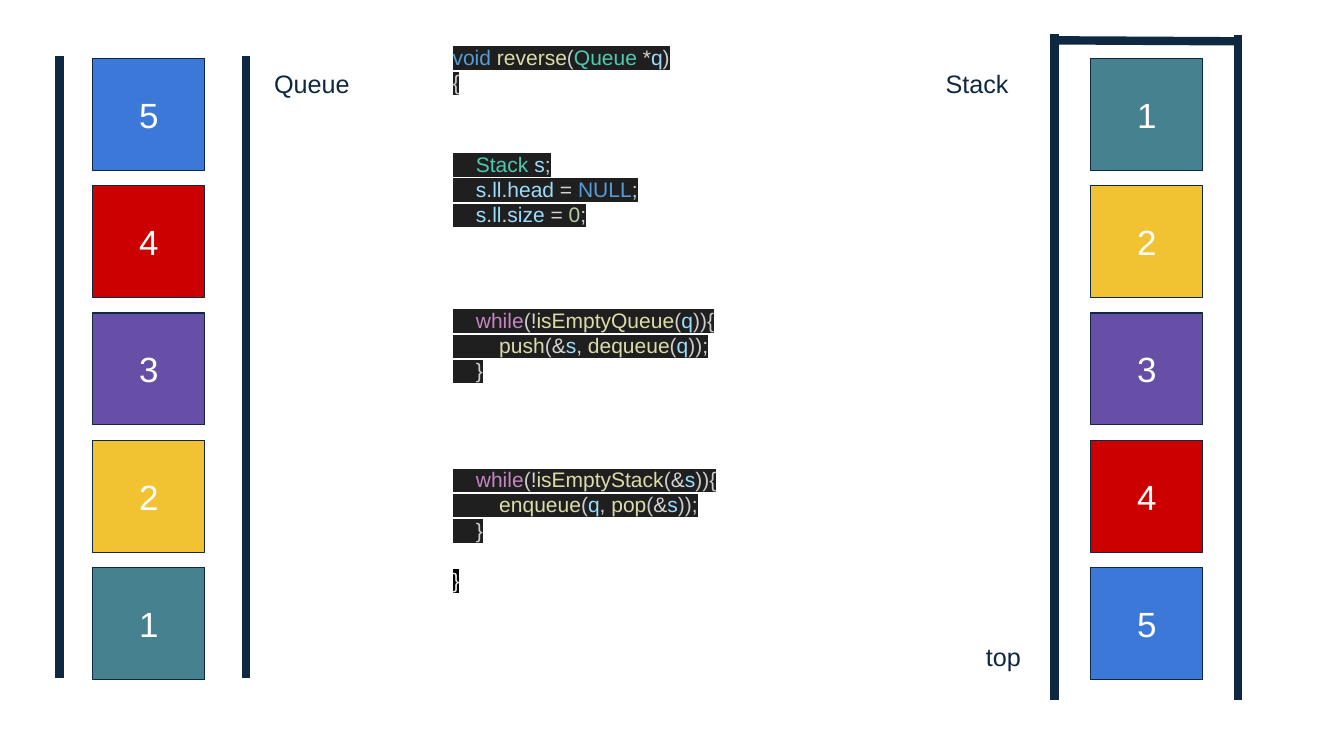
import itertools

import pptx
import pptx.dml.color
import pptx.enum.shapes
import pptx.enum.text
import pptx.oxml
import pptx.oxml.ns
import pptx.util

Inches = pptx.util.Inches
Pt = pptx.util.Pt
RGBColor = pptx.dml.color.RGBColor

NAVY = RGBColor(0x0E, 0x28, 0x41)
WHITE = RGBColor(0xFF, 0xFF, 0xFF)
BLUE = RGBColor(0x3C, 0x78, 0xD8)
RED = RGBColor(0xCC, 0x00, 0x00)
PURPLE = RGBColor(0x67, 0x4E, 0xA7)
YELLOW = RGBColor(0xF1, 0xC2, 0x32)
TEAL = RGBColor(0x45, 0x81, 0x8E)

# Syntax colours
CODE_BACK = RGBColor(0x1F, 0x1F, 0x1F)
BRACE_BACK = RGBColor(0x00, 0x00, 0x00)
BRACE = RGBColor(0xE8, 0xE8, 0xE8)
PLAIN = RGBColor(0xCC, 0xCC, 0xCC)
OPERATOR = RGBColor(0xD4, 0xD4, 0xD4)
CONSTANT = RGBColor(0x56, 0x9C, 0xD6)
FUNCTION = RGBColor(0xDC, 0xDC, 0xAA)
TYPE = RGBColor(0x4E, 0xC9, 0xB0)
VARIABLE = RGBColor(0x9C, 0xDC, 0xFE)
CONTROL = RGBColor(0xC5, 0x86, 0xC0)
NUMBER = RGBColor(0xB5, 0xCE, 0xA8)

WORDS_BY_COLOR = {
    CONSTANT: "void NULL",
    FUNCTION: "reverse isEmptyQueue isEmptyStack push dequeue enqueue pop",
    TYPE: "Queue Stack",
    VARIABLE: "q s ll head size",
    CONTROL: "while",
    NUMBER: "0",
}
WORD_COLORS = {word: color for color, words in WORDS_BY_COLOR.items()
               for word in words.split()}

ITEM_COLORS = {1: TEAL, 2: YELLOW, 3: PURPLE, 4: RED, 5: BLUE}
ITEM_TOP = 0.58
ITEM_STEP = (5.63 - ITEM_TOP) / 4
ITEM_SIZE = 1.11


def token_kind(char):
    if char.isalnum():
        return "word"
    return "operator" if char in "*!&=" else "plain"


def tokens(line):
    """Split a code line into pieces with their syntax colours."""
    for kind, chars in itertools.groupby(line, token_kind):
        text = "".join(chars)
        fallback = OPERATOR if kind == "operator" else PLAIN
        yield text, WORD_COLORS.get(text, fallback)


class Painter:
    font = "Arial"

    def __init__(self, page):
        self.page = page

    def setup_frame(self, shape):
        frame = shape.text_frame
        frame.word_wrap = True
        frame.margin_left = frame.margin_right = Inches(0.1)
        frame.margin_top = frame.margin_bottom = Inches(0.1)
        return frame

    def span(self, para, text, size, color, back=None):
        span = para.add_run()
        span.text = text
        span.font.name = self.font
        span.font.size = Pt(size)
        span.font.color.rgb = color
        if back is not None:
            highlight = pptx.oxml.parse_xml(
                f'<a:highlight {pptx.oxml.ns.nsdecls("a")}>'
                f'<a:srgbClr val="{back}"/></a:highlight>')
            fill = span.font._element.find(pptx.oxml.ns.qn("a:solidFill"))
            fill.addnext(highlight)

    def text_box(self, left, top, width, height):
        box = self.page.shapes.add_textbox(
            Inches(left), Inches(top), Inches(width), Inches(height))
        return self.setup_frame(box)

    def label(self, text, left, top, width):
        frame = self.text_box(left, top, width, 0.5)
        self.span(frame.paragraphs[0], text, 18, NAVY)

    def code(self, lines, top, width, height):
        frame = self.text_box(4.39, top, width, height)
        for index, line in enumerate(lines):
            para = frame.add_paragraph() if index else frame.paragraphs[0]
            para.line_spacing = Pt(18)
            for text, color in tokens(line):
                self.span(para, text, 15, color, CODE_BACK)
        return frame

    def closing_brace(self, frame):
        para = frame.add_paragraph()
        para.line_spacing = Pt(18)
        para.space_before = Pt(18)
        self.span(para, "}", 15, BRACE, BRACE_BACK)

    def item(self, number, left, top):
        box = self.page.shapes.add_shape(
            pptx.enum.shapes.MSO_SHAPE.RECTANGLE, Inches(left), Inches(top),
            Inches(ITEM_SIZE), Inches(ITEM_SIZE))
        box.shadow.inherit = False
        box.fill.solid()
        box.fill.fore_color.rgb = ITEM_COLORS[number]
        box.line.color.rgb = NAVY
        box.line.width = Pt(0.75)
        frame = self.setup_frame(box)
        frame.vertical_anchor = pptx.enum.text.MSO_ANCHOR.MIDDLE
        para = frame.paragraphs[0]
        para.alignment = pptx.enum.text.PP_ALIGN.CENTER
        self.span(para, str(number), 25, WHITE)

    def column(self, numbers, left):
        for row, number in enumerate(numbers):
            self.item(number, left, ITEM_TOP + row * ITEM_STEP)

    def wall(self, x1, y1, x2, y2):
        wall = self.page.shapes.add_connector(
            pptx.enum.shapes.MSO_CONNECTOR.STRAIGHT,
            Inches(x1), Inches(y1), Inches(x2), Inches(y2))
        wall.line.color.rgb = NAVY
        wall.line.width = Pt(6)
        wall._element.spPr.append(pptx.oxml.parse_xml(
            f'<a:effectLst {pptx.oxml.ns.nsdecls("a")}/>'))


def main():
    deck = pptx.Presentation()
    deck.slide_width = Inches(13.33)
    deck.slide_height = Inches(7.5)
    painter = Painter(deck.slides.add_slide(deck.slide_layouts[6]))

    # Queue, open at both ends
    for x in (0.59, 2.44):
        painter.wall(x, 0.56, x, 6.73)
    painter.column([5, 4, 3, 2, 1], 0.92)
    painter.label("Queue", 2.62, 0.58, 1.48)

    # Code, one box per step
    painter.code(["void reverse(Queue *q)", "{"], 0.34, 4.48, 0.89)
    painter.code(["    Stack s;",
                  "    s.ll.head = NULL;",
                  "    s.ll.size = 0;"], 1.4, 4.48, 1.23)
    painter.code(["    while(!isEmptyQueue(q)){",
                  "        push(&s, dequeue(q));",
                  "    }"], 2.95, 4.48, 1.23)
    last_step = painter.code(["    while(!isEmptyStack(&s)){",
                              "        enqueue(q, pop(&s));",
                              "    }"], 4.53, 4.12, 1.73)
    painter.closing_brace(last_step)

    # Stack, upside down and closed above
    painter.column([1, 2, 3, 4, 5], 10.82)
    painter.wall(10.46, 0.34, 10.46, 6.94)
    painter.wall(12.28, 0.35, 12.28, 6.94)
    painter.wall(10.45, 0.4, 12.3, 0.41)
    painter.label("Stack", 9.28, 0.58, 1.48)
    painter.label("top", 9.68, 6.26, 1.03)

    deck.save("out.pptx")


if __name__ == "__main__":
    main()
